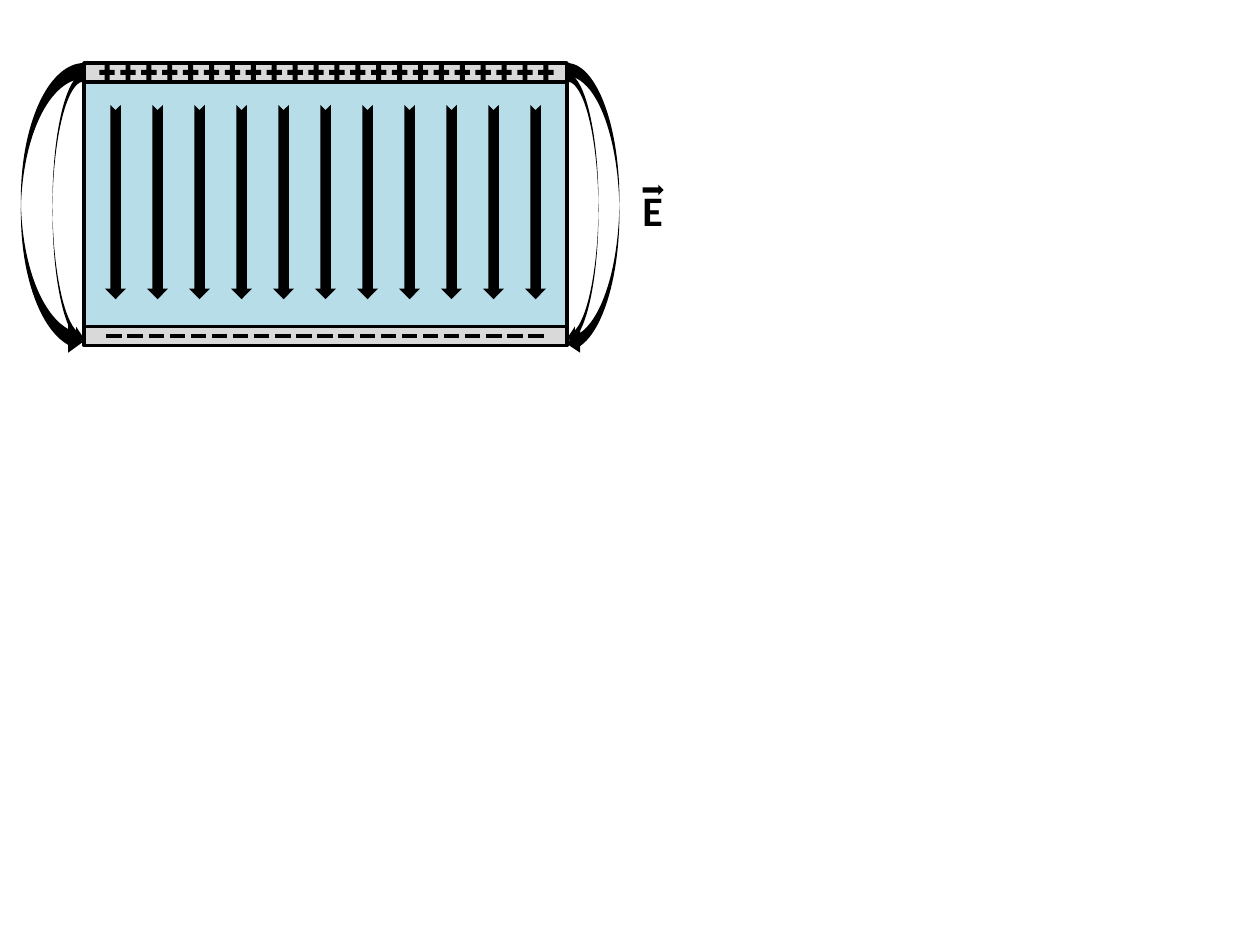
from pptx import Presentation
from pptx.dml.color import RGBColor
from pptx.enum.shapes import MSO_SHAPE
from pptx.enum.text import MSO_AUTO_SIZE
from pptx.util import Inches, Pt

COLORS = {"ink": "000000", "plate": "D9D9D9", "dielectric": "B7DEE8"}


def write_text(text_frame, text, font="Calibri", size=24, bold=False, color="ink"):
    paragraph = text_frame.paragraphs[0]
    paragraph.text = text
    paragraph.font.name = font
    paragraph.font.size = Pt(size)
    paragraph.font.bold = bold
    paragraph.font.color.rgb = RGBColor.from_string(COLORS[color])


class CapacitorSlide:
    """Places elements on a grid of 60 columns by 45 rows."""

    def __init__(self, presentation):
        self.column = presentation.slide_width / 60
        self.row = presentation.slide_height / 45
        slide = presentation.slides.add_slide(presentation.slide_layouts[6])
        self.shapes = slide.shapes.add_group_shape().shapes

    def box(self, left, top, width, height):
        return (round(left * self.column), round(top * self.row),
                round(width * self.column), round(height * self.row))

    def solid(self, kind, left, top, width, height, fill="ink", outlined=False):
        shape = self.shapes.add_shape(kind, *self.box(left, top, width, height))
        shape.shadow.inherit = False
        shape.fill.solid()
        shape.fill.fore_color.rgb = RGBColor.from_string(COLORS[fill])
        if outlined:
            shape.line.color.rgb = RGBColor.from_string(COLORS["ink"])
            shape.line.width = Pt(2)
        else:
            shape.line.fill.background()
        return shape

    def turned(self, kind, left, top, width, height, **style):
        """Takes the box as seen after a quarter turn."""
        shift = (width - height) / 2
        shape = self.solid(kind, left + shift, top - shift, height, width, **style)
        shape.rotation = 90

    def slab(self, top, height, fill):
        self.turned(MSO_SHAPE.RECTANGLE, 4, top, 23, height, fill=fill, outlined=True)

    def fringe(self, left, top, width, height, mirrored=False):
        shape = self.solid(MSO_SHAPE.CURVED_LEFT_ARROW, left, top, width, height)
        if mirrored:
            shape.element.spPr.xfrm.set("flipH", "1")

    def charges(self, kind, count, left, top, step):
        for index in range(count):
            self.solid(kind, left + index * step, top, 1, 1)

    def label(self, text, left, top, width, height, **text_format):
        text_frame = self.shapes.add_textbox(*self.box(left, top, width, height)).text_frame
        text_frame.word_wrap = False
        text_frame.auto_size = MSO_AUTO_SIZE.SHAPE_TO_FIT_TEXT
        write_text(text_frame, text, **text_format)


def main():
    presentation = Presentation()
    presentation.slide_width = Inches(10)
    presentation.slide_height = Inches(7.5)
    capacitor = CapacitorSlide(presentation)

    # Field vector label
    capacitor.label("E", 30, 8.5, 2.2, 3, bold=True)
    capacitor.solid(MSO_SHAPE.RIGHT_ARROW, 30.6, 8.8, 1, 0.5)

    # Dielectric between the two plates
    capacitor.slab(3.9, 11.7, "dielectric")
    for plate_top in (3, 15.55):
        capacitor.slab(plate_top, 0.9, "plate")

    # Uniform field inside
    for index in range(11):
        capacitor.turned(MSO_SHAPE.NOTCHED_RIGHT_ARROW, 5 + 2 * index, 5, 1, 9.25)

    # Fringe field at both ends
    capacitor.fringe(27, 3, 2.5, 14)
    capacitor.fringe(27, 3.5, 1.5, 13)
    capacitor.fringe(2.5, 3.5, 1.5, 13, mirrored=True)
    capacitor.fringe(1, 3, 3, 14, mirrored=True)

    # Charges on the plates
    capacitor.charges(MSO_SHAPE.MATH_PLUS, 22, 4.6, 2.95, 0.995)
    capacitor.charges(MSO_SHAPE.MATH_MINUS, 21, 4.93, 15.5, 1.005)

    presentation.save("out.pptx")


if __name__ == "__main__":
    main()
